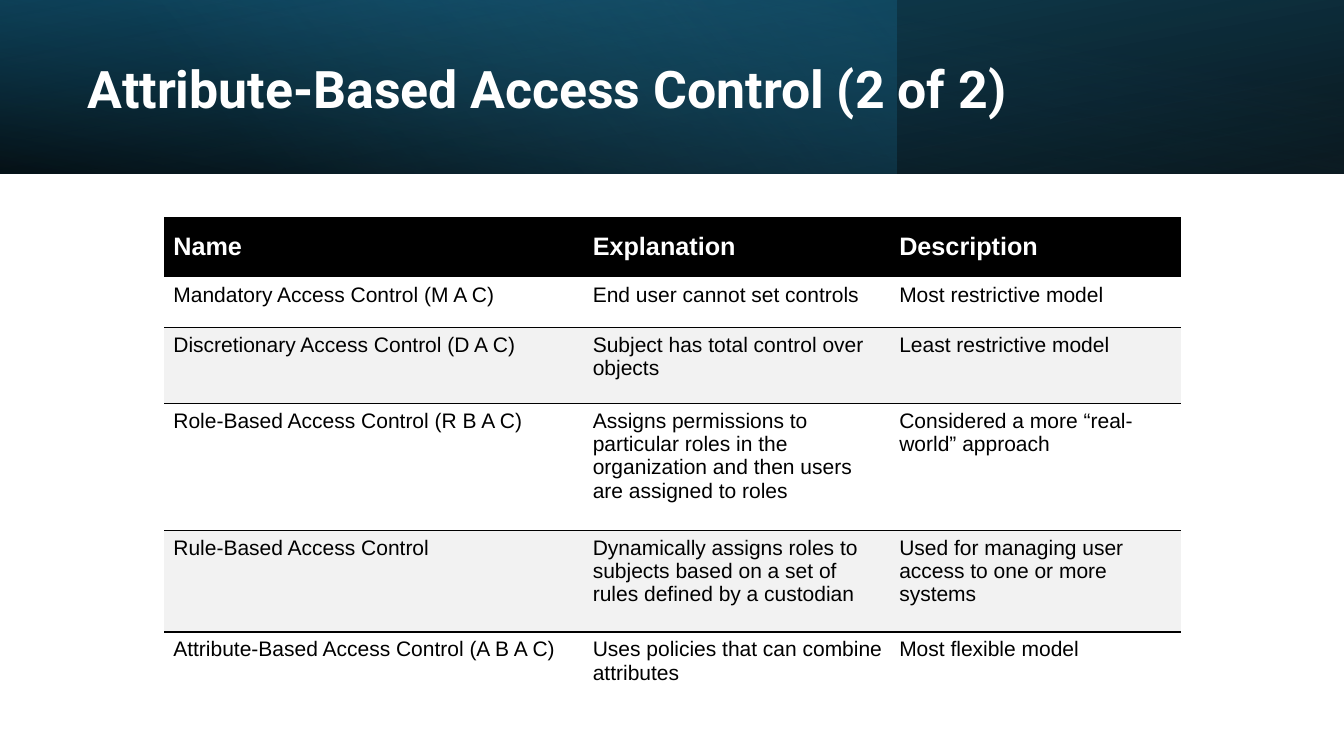
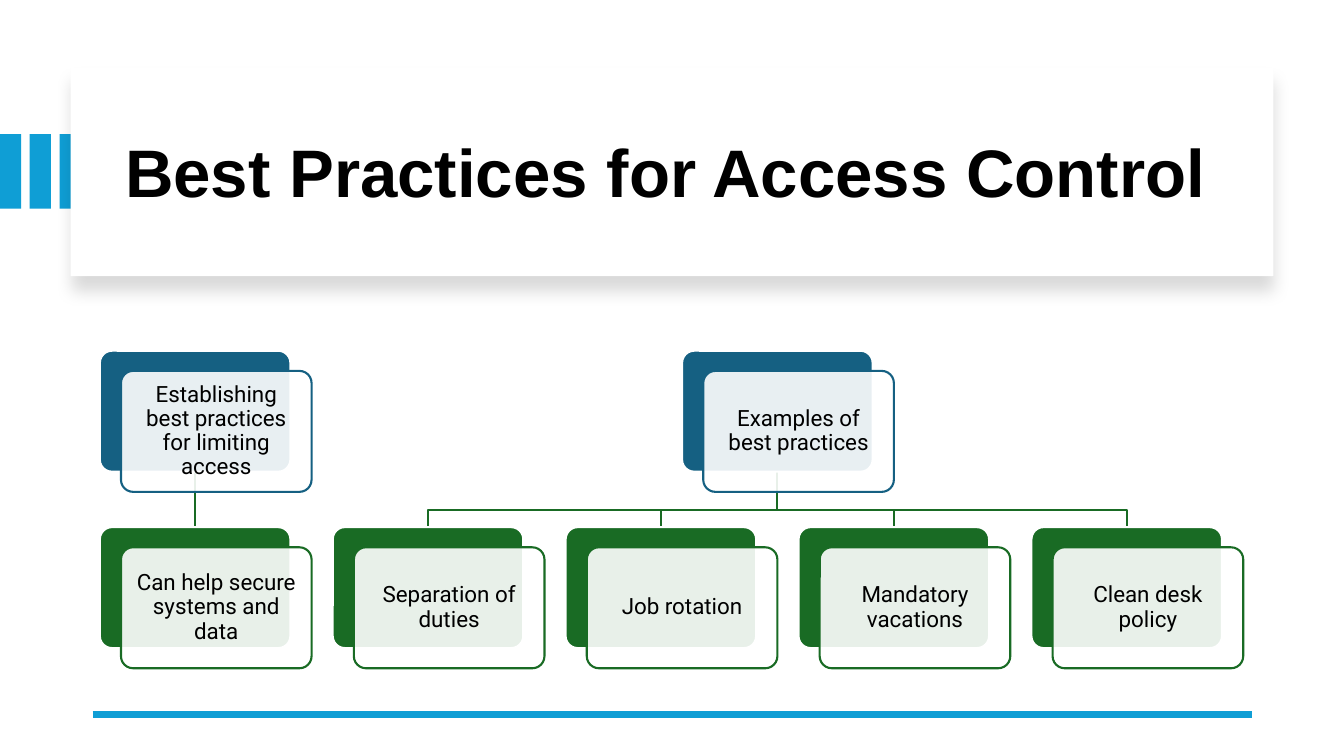
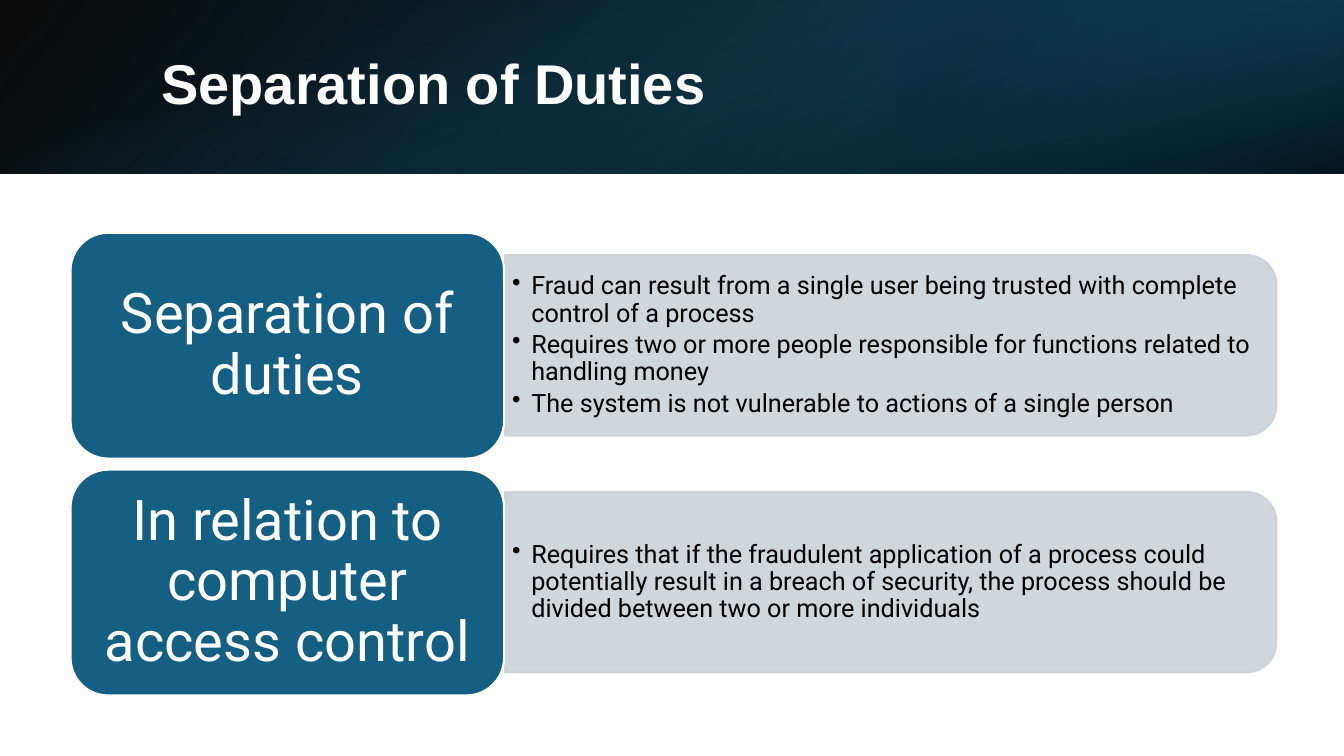
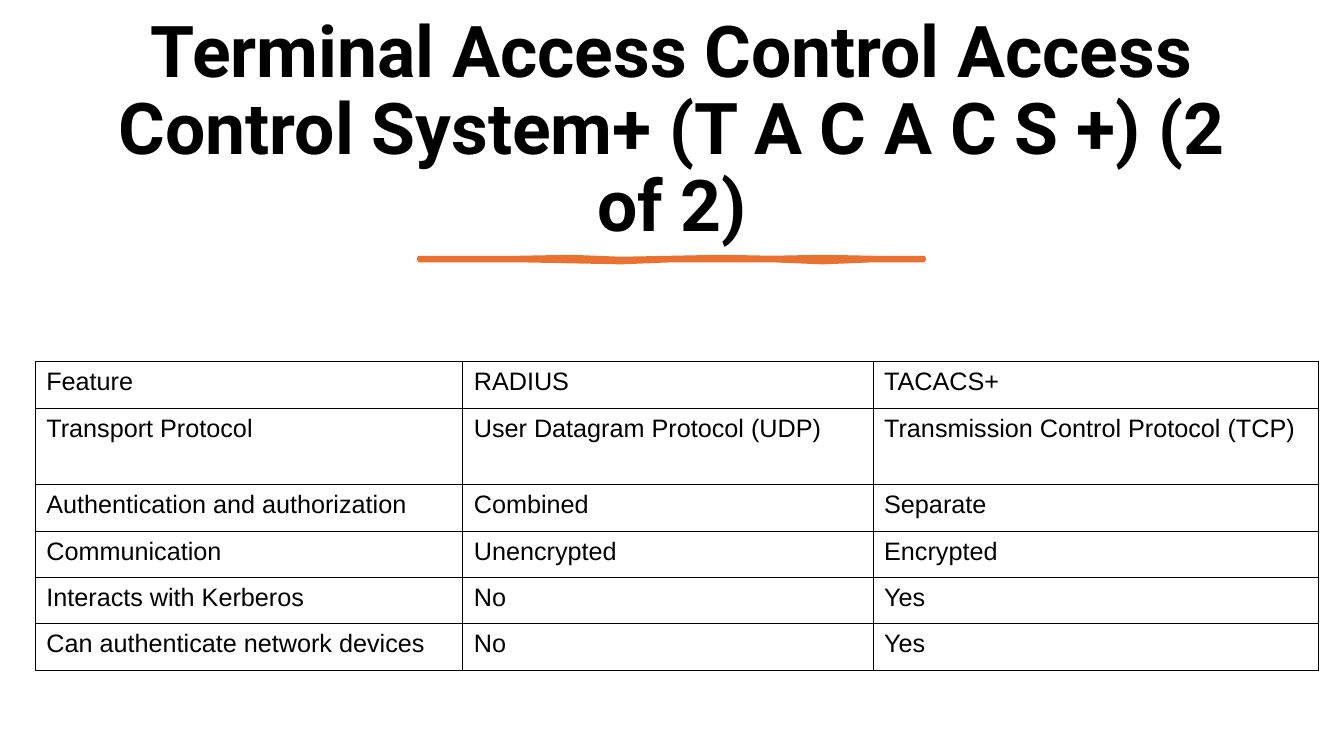
from lxml import etree
from pptx import Presentation
from pptx.dml.color import RGBColor
from pptx.enum import shapes, text
from pptx.oxml.ns import qn
from pptx.util import Inches, Pt

COLORS = {
    "black": "000000", "white": "FFFFFF", "stripe": "F2F2F2", "blue": "156082",
    "deep_blue": "104862", "night": "0B3041", "pale_blue": "46B1E1",
    "sky": "0F9ED5", "green": "196B24", "panel": "CCD2D8", "orange": "E97132",
}
SLIDE_W, SLIDE_H, BAND_H = 13.33, 7.5, 1.72
PLAIN_TABLE = "{2D5ABB26-0587-4C30-8999-92F81FD0307C}"
RECT = shapes.MSO_SHAPE.RECTANGLE
ROUNDED = shapes.MSO_SHAPE.ROUNDED_RECTANGLE
LEFT, CENTER = text.PP_ALIGN.LEFT, text.PP_ALIGN.CENTER
MIDDLE, BOTTOM, TOP = (text.MSO_ANCHOR.MIDDLE, text.MSO_ANCHOR.BOTTOM,
                       text.MSO_ANCHOR.TOP)


def rgb(name):
    return RGBColor.from_string(COLORS[name])


def inches(*values):
    return [Inches(value) for value in values]


# ---- Shared helpers ----
def set_alphas(shape, *percents):
    """Set the opacity of the shape's colours, in order."""
    colors = list(shape._element.spPr.iter(qn("a:srgbClr")))
    for color, percent in zip(colors, percents):
        etree.SubElement(color, qn("a:alpha"), val=str(percent * 1000))


def set_line(shape, color, width):
    shape.line.color.rgb = rgb(color)
    shape.line.width = Pt(width)


def add_box(page, box, fill, line=None, kind=RECT):
    shape = page.shapes.add_shape(kind, *inches(*box))
    shape.shadow.inherit = False
    shape.fill.solid()
    shape.fill.fore_color.rgb = rgb(fill)
    if line:
        set_line(shape, line, 1.5)
    else:
        shape.line.fill.background()
    return shape


def add_line(page, start, end, color, width):
    line = page.shapes.add_connector(
        shapes.MSO_CONNECTOR.STRAIGHT, *inches(*start, *end))
    set_line(line, color, width)
    etree.SubElement(line._element.spPr, qn("a:effectLst"))


def set_margins(holder, margins):
    (holder.margin_left, holder.margin_top,
     holder.margin_right, holder.margin_bottom) = inches(*margins)


def style_para(para, size, font, color="black", bold=False, align=LEFT, spacing=0.9):
    para.alignment = align
    para.line_spacing = spacing
    para.font.size = Pt(size)
    para.font.name = font
    para.font.bold = bold
    para.font.color.rgb = rgb(color)


def set_text(shape, words, margins, **style):
    frame = shape.text_frame
    frame.word_wrap = True
    frame.vertical_anchor = MIDDLE
    set_margins(frame, margins)
    frame.text = words
    style_para(frame.paragraphs[0], **style)


def set_title(page, words, box, anchor=MIDDLE, **style):
    title = page.shapes.title
    title.left, title.top, title.width, title.height = inches(*box)
    frame = title.text_frame
    frame.word_wrap = True
    frame.auto_size = text.MSO_AUTO_SIZE.NONE
    frame.vertical_anchor = anchor
    frame.text = words
    style_para(frame.paragraphs[0], bold=True, **style)
    page.shapes._spTree.append(title._element)  # in front of the bands


def add_gradient(page, box, stops, angle, rotation=0, flip=False):
    """Stops are (position, colour, opacity); the angle runs clockwise."""
    shape = add_box(page, box, "black")
    shape.rotation = rotation
    if flip:
        shape._element.spPr.get_or_add_xfrm().set("flipH", "1")
    shape.fill.gradient()
    shape.fill.gradient_angle = 360 - angle
    for stop, (position, color, _) in zip(shape.fill.gradient_stops, stops):
        stop.position = position / 100
        stop.color.rgb = rgb(color)
    set_alphas(shape, *[opacity for _, _, opacity in stops])


def add_border(cell, side, color="black", width=1):
    props = cell._tc.get_or_add_tcPr()
    line = etree.SubElement(props, qn(f"a:ln{side}"), w=str(Pt(width)))
    fill = etree.SubElement(line, qn("a:solidFill"))
    etree.SubElement(fill, qn("a:srgbClr"), val=COLORS[color])


def add_table(page, origin, widths, heights, rows, style_of):
    """style_of(row) gives borders, fill, margins, anchor and text style."""
    frame = page.shapes.add_table(
        len(rows), len(widths), *inches(*origin, sum(widths), sum(heights)))
    table = frame.table
    table.first_row = table.horz_banding = False
    table._tbl.tblPr.find(qn("a:tableStyleId")).text = PLAIN_TABLE
    for column, width in zip(table.columns, widths):
        column.width = Inches(width)
    for index, (height, words) in enumerate(zip(heights, rows)):
        table.rows[index].height = Inches(height)
        borders, fill, margins, anchor, style = style_of(index)
        for cell, word in zip(table.rows[index].cells, words):
            for side in borders:
                add_border(cell, side)
            cell.fill.solid()
            cell.fill.fore_color.rgb = rgb(fill)
            set_margins(cell, margins)
            cell.vertical_anchor = anchor
            cell.text = word
            style_para(cell.text_frame.paragraphs[0], font="Arial", spacing=1, **style)


# ---- Slide 1: access control models ----
def model_row_style(row):
    if row == 0:
        return ((), "black", (0.09, 0.13, 0.06, 0.13), MIDDLE,
                dict(size=18, color="white", bold=True))
    striped = row % 2 == 0
    borders = ["T"] if striped else ["B"] if row < 5 else []
    return (borders, "stripe" if striped else "white",
            (0.09, 0.06, 0.06, 0.13), TOP, dict(size=15))


def build_models(page):
    band = (0, 0, SLIDE_W, BAND_H)
    add_gradient(page, band, [(0, "black", 96), (100, "deep_blue", 100)], 100, 180, True)
    add_gradient(page, (0, 0, 8.89, BAND_H),
                 [(0, "blue", 41), (74, "pale_blue", 0)], 140)
    add_gradient(page, band, [(0, "black", 63), (78, "blue", 15)], 260, flip=True)
    set_title(page, "Attribute-Based Access Control (2 of 2)",
              (0.77, 0.27, 9.57, 1.27), size=37, font="Roboto", color="white")
    rows = [
        ("Name", "Explanation", "Description"),
        ("Mandatory Access Control (M A C)", "End user cannot set controls",
         "Most restrictive model"),
        ("Discretionary Access Control (D A C)",
         "Subject has total control over objects", "Least restrictive model"),
        ("Role-Based Access Control (R B A C)",
         "Assigns permissions to particular roles in the organization and then "
         "users are assigned to roles", "Considered a more “real-world” approach"),
        ("Rule-Based Access Control",
         "Dynamically assigns roles to subjects based on a set of rules defined "
         "by a custodian", "Used for managing user access to one or more systems"),
        ("Attribute-Based Access Control (A B A C)",
         "Uses policies that can combine attributes", "Most flexible model"),
    ]
    add_table(page, (1.63, 2.15), (4.16, 3.04, 2.88),
              (0.6, 0.5, 0.75, 1.26, 1.01, 0.75), rows, model_row_style)


# ---- Slide 2: best practices tree ----
NODE_W, NODE_H, NODE_STEP = 1.89, 1.2, 2.31


def add_node(page, left, top, words, color):
    back = add_box(page, (left, top, NODE_W, NODE_H), color, "white", ROUNDED)
    front = add_box(page, (left + 0.21, top + 0.2, NODE_W, NODE_H),
                    "white", color, ROUNDED)
    back.adjustments[0] = front.adjustments[0] = 0.1
    set_alphas(front, 90)
    set_text(front, words, [0.07] * 4, size=16, font="Roboto", align=CENTER)


def add_branch(page, start, end):
    """Join a parent to a child with a bend near the child."""
    (x1, y1), (x2, y2) = start, end
    if x1 == x2:
        add_line(page, start, end, "green", 1.5)
        return
    bend = y2 - 0.17
    builder = page.shapes.build_freeform(*inches(x1, y1))
    builder.add_line_segments(
        [inches(*point) for point in ((x1, bend), (x2, bend), (x2, y2))], close=False)
    branch = builder.convert_to_shape()
    branch.shadow.inherit = False
    branch.fill.background()
    set_line(branch, "green", 1.5)


def add_tree(page, left, top, groups):
    child_top = top + 1.75
    nodes, first = [], 0
    for parent, children in groups:
        lefts = [left + NODE_STEP * (first + i) for i in range(len(children))]
        parent_left = (lefts[0] + lefts[-1]) / 2
        nodes.append((parent_left, top, parent, "blue"))
        for child_left, child in zip(lefts, children):
            add_branch(page, (parent_left + NODE_W / 2, top + NODE_H),
                       (child_left + NODE_W / 2, child_top))
            nodes.append((child_left, child_top, child, "green"))
        first += len(children)
    for node in nodes:
        add_node(page, *node)


def build_practices(page):
    for index in range(3):
        add_box(page, (0.295 * index, 1.33, 0.21, 0.74), "sky")
    # Title card with a soft shadow below
    card = add_box(page, (0.7, 0.67, 11.93, 2.07), "white")
    effects = card._element.spPr.find(qn("a:effectLst"))
    shadow = etree.SubElement(
        effects, qn("a:outerShdw"), blurRad=str(Pt(11)), dist=str(Pt(10)),
        dir="5400000", algn="t", rotWithShape="0")
    color = etree.SubElement(shadow, qn("a:srgbClr"), val=COLORS["black"])
    etree.SubElement(color, qn("a:alpha"), val="15000")
    set_title(page, "Best Practices for Access Control",
              (1.14, 0.89, 11.13, 1.7), size=48, font="Arial")
    add_line(page, (0.92, 7.09), (12.42, 7.09), "sky", 4.5)
    add_tree(page, 0.99, 3.48, [
        ("Establishing best practices for limiting access",
         ["Can help secure systems and data"]),
        ("Examples of best practices",
         ["Separation of duties", "Job rotation", "Mandatory vacations",
          "Clean desk policy"]),
    ])


# ---- Slide 3: separation of duties ----
def add_bullets(page, box, items):
    frame = page.shapes.add_textbox(*inches(*box)).text_frame
    frame.word_wrap = True
    frame.vertical_anchor = MIDDLE
    set_margins(frame, (0.07, 0.04, 0.07, 0.04))
    frame.text = "\n".join(items)
    for para in frame.paragraphs:
        props = para._p.get_or_add_pPr()
        props.set("marL", str(Inches(0.19)))
        props.set("indent", str(Inches(-0.19)))
        etree.SubElement(props, qn("a:buChar"), char="•")
        para.space_after = Pt(3)
        style_para(para, 18, "Roboto")


def add_duty_row(page, left, top, label, items):
    # Panel: a tall shape turned a quarter, so its round corners face right
    width, height = 7.65, 1.79
    panel_left, panel_top = left + 4.31, top + 0.22
    shift = (width - height) / 2
    panel = add_box(page, (panel_left + shift, panel_top - shift, height, width),
                    "panel", "panel", shapes.MSO_SHAPE.ROUND_2_SAME_RECTANGLE)
    panel.rotation = 90
    set_alphas(panel, 90, 90)
    add_bullets(page, (panel_left, panel_top + 0.09, 7.56, 1.61), items)
    tile = add_box(page, (left, top, 4.3, 2.24), "blue", "white", ROUNDED)
    set_text(tile, label, (0.17, 0.08, 0.17, 0.08), size=40, font="Roboto",
             color="white", align=CENTER)


def build_duties(page):
    add_gradient(page, (0, 0, SLIDE_W, BAND_H),
                 [(0, "black", 96), (100, "deep_blue", 100)], 140, flip=True)
    add_gradient(page, (8.89, 0, 4.44, BAND_H),
                 [(19, "night", 68), (100, "blue", 79)], 320, 180, True)
    shift = (SLIDE_W - BAND_H) / 2
    add_gradient(page, (shift, -shift, BAND_H, SLIDE_W),
                 [(23, "blue", 0), (99, "black", 74)], 340, 90)
    set_title(page, "Separation of Duties", (1.5, 0.38, 10.98, 0.96),
              size=40, font="Arial", color="white")
    duties = [
        ("Separation of duties", [
            "Fraud can result from a single user being trusted with complete "
            "control of a process",
            "Requires two or more people responsible for functions related to "
            "handling money",
            "The system is not vulnerable to actions of a single person"]),
        ("In relation to computer access control", [
            "Requires that if the fraudulent application of a process could "
            "potentially result in a breach of security, the process should be "
            "divided between two or more individuals"]),
    ]
    for index, (label, items) in enumerate(duties):
        add_duty_row(page, 0.7, 2.31 + 2.35 * index, label, items)


# ---- Slide 4: protocol comparison ----
def add_brush_stroke(page, left, top, width):
    upper = [0.02, 0.02, 0.02, 0.01, 0.03, 0.02, 0.01, 0.02, 0.01, 0.02, 0.02]
    lower = [0.04, 0.04, 0.04, 0.05, 0.06, 0.04, 0.04, 0.04, 0.06, 0.04, 0.04]
    step = width / (len(upper) - 1)
    there = [inches(left + step * i, top + y) for i, y in enumerate(upper)]
    back = [inches(left + step * i, top + y) for i, y in enumerate(lower)]
    builder = page.shapes.build_freeform(*there[0])
    builder.add_line_segments(there[1:] + back[::-1], close=True)
    stroke = builder.convert_to_shape()
    stroke.shadow.inherit = False
    stroke.fill.solid()
    stroke.fill.fore_color.rgb = rgb("orange")
    set_line(stroke, "orange", 3.25)


def protocol_row_style(row):
    return "LRTB", "white", (0.11, 0.06, 0.11, 0.06), TOP, dict(size=18)


def build_protocols(page):
    set_title(page, "Terminal Access Control Access Control System+ "
              "(T A C A C S +) (2 of 2)", (0.7, 0.5, 11.93, 2), BOTTOM,
              size=51, font="Roboto", align=CENTER)
    add_brush_stroke(page, 4.16, 2.54, 5)
    rows = [
        ("Feature", "RADIUS", "TACACS+"),
        ("Transport Protocol", "User Datagram Protocol (UDP)",
         "Transmission Control Protocol (TCP)"),
        ("Authentication and authorization", "Combined", "Separate"),
        ("Communication", "Unencrypted", "Encrypted"),
        ("Interacts with Kerberos", "No", "Yes"),
        ("Can authenticate network devices", "No", "Yes"),
    ]
    add_table(page, (0.35, 3.59), (4.24, 4.07, 4.42),
              (0.46, 0.76, 0.46, 0.46, 0.46, 0.46), rows, protocol_row_style)


def main():
    deck = Presentation()
    deck.slide_width, deck.slide_height = inches(SLIDE_W, SLIDE_H)
    title_only = deck.slide_layouts[5]
    for build in (build_models, build_practices, build_duties, build_protocols):
        build(deck.slides.add_slide(title_only))
    deck.save("out.pptx")


if __name__ == "__main__":
    main()
